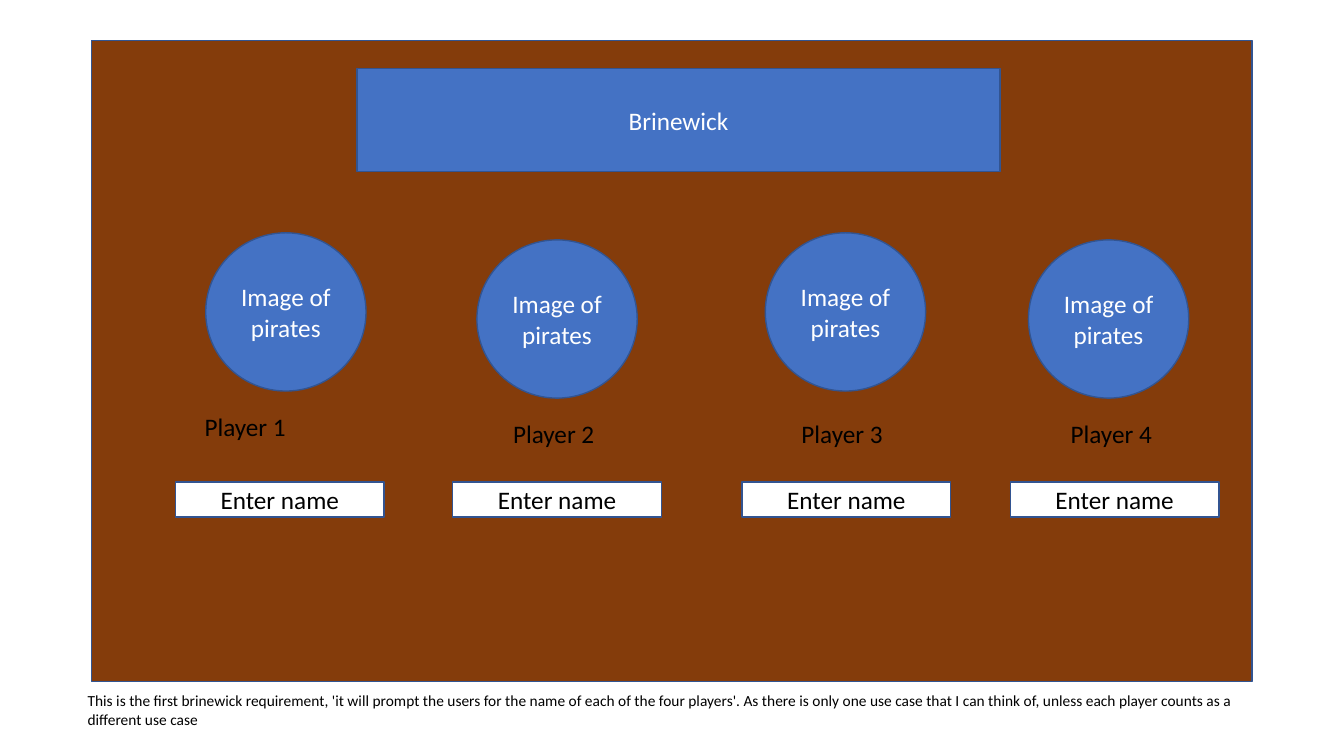
import dataclasses

import pptx
import pptx.dml.color
import pptx.enum.shapes
import pptx.enum.text
import pptx.util
from pptx.util import Inches

SHAPE = pptx.enum.shapes.MSO_SHAPE
ALIGN = pptx.enum.text.PP_ALIGN
ANCHOR = pptx.enum.text.MSO_ANCHOR
AUTO_SIZE = pptx.enum.text.MSO_AUTO_SIZE


@dataclasses.dataclass(frozen=True)
class Theme:
    font: str = "Calibri"
    body: int = 18
    note: int = 11
    board: str = "843C0B"
    accent: str = "4472C4"
    outline: str = "325491"
    light: str = "FFFFFF"
    dark: str = "000000"


theme = Theme()
color = pptx.dml.color.RGBColor.from_string


def write(box, text, size, ink, align, anchor, auto_size=AUTO_SIZE.NONE):
    frame = box.text_frame
    frame.text = text
    frame_format = {"word_wrap": True, "auto_size": auto_size, "vertical_anchor": anchor}
    for name, value in frame_format.items():
        setattr(frame, name, value)
    para = frame.paragraphs[0]
    para.alignment = align
    span = para.runs[0]
    span_format = {"name": theme.font, "size": pptx.util.Pt(size)}
    for name, value in span_format.items():
        setattr(span.font, name, value)
    span.font.color.rgb = color(ink)


def paint(shape, fill):
    shape.fill.solid()
    shape.fill.fore_color.rgb = color(fill)
    shape.line.color.rgb = color(theme.outline)
    shape.line.width = pptx.util.Pt(1)


deck = pptx.Presentation()
deck.slide_width, deck.slide_height = Inches(13.33), Inches(7.5)
page = deck.slides.add_slide(deck.slide_layouts.get_by_name("Title Only"))
shapes = page.shapes

board = shapes.add_shape(
    SHAPE.RECTANGLE, Inches(0.91), Inches(0.4), Inches(11.51), Inches(6.36)
)
board.shadow.inherit = False
paint(board, theme.board)

# The title placeholder comes first on a new page, so it is lifted above the board.
title = shapes.title
board._element.addnext(title._element)
title_place = {
    "left": Inches(3.54),
    "top": Inches(0.68),
    "width": Inches(6.38),
    "height": Inches(1.02),
}
for name, value in title_place.items():
    setattr(title, name, value)
paint(title, theme.accent)
write(title, "Brinewick", theme.body, theme.light, ALIGN.CENTER, ANCHOR.MIDDLE)

# Left edges of portrait, label and name field, then the tops of portrait and label.
players = [
    (2.04, 1.93, 1.74, 2.31, 4.03),
    (4.73, 4.99, 4.49, 2.38, 4.1),
    (7.59, 7.85, 7.36, 2.31, 4.1),
    (10.2, 10.52, 10.02, 2.38, 4.1),
]
for number, place in enumerate(players, start=1):
    portrait_left, label_left, field_left, portrait_top, label_top = place

    portrait = shapes.add_shape(
        SHAPE.OVAL, Inches(portrait_left), Inches(portrait_top), Inches(1.59), Inches(1.57)
    )
    portrait.shadow.inherit = False
    paint(portrait, theme.accent)
    write(portrait, "Image of pirates", theme.body, theme.light, ALIGN.CENTER, ANCHOR.MIDDLE)

    label = shapes.add_textbox(
        Inches(label_left), Inches(label_top), Inches(1.08), Inches(0.4)
    )
    write(label, f"Player {number}", theme.body, theme.dark, ALIGN.LEFT, ANCHOR.TOP,
          AUTO_SIZE.SHAPE_TO_FIT_TEXT)

    field = shapes.add_shape(
        SHAPE.RECTANGLE, Inches(field_left), Inches(4.78), Inches(2.07), Inches(0.35)
    )
    field.shadow.inherit = False
    paint(field, theme.light)
    write(field, "Enter name", theme.body, theme.dark, ALIGN.CENTER, ANCHOR.MIDDLE)

remark = shapes.add_textbox(Inches(0.77), Inches(6.81), Inches(11.65), Inches(0.47))
remark_text = (
    "This is the first brinewick requirement, 'it will prompt the users for the name of "
    "each of the four players'. As there is only one use case that I can think of, "
    "unless each player counts as a different use case"
)
write(remark, remark_text, theme.note, theme.dark, ALIGN.LEFT, ANCHOR.TOP,
      AUTO_SIZE.SHAPE_TO_FIT_TEXT)

deck.save("out.pptx")
